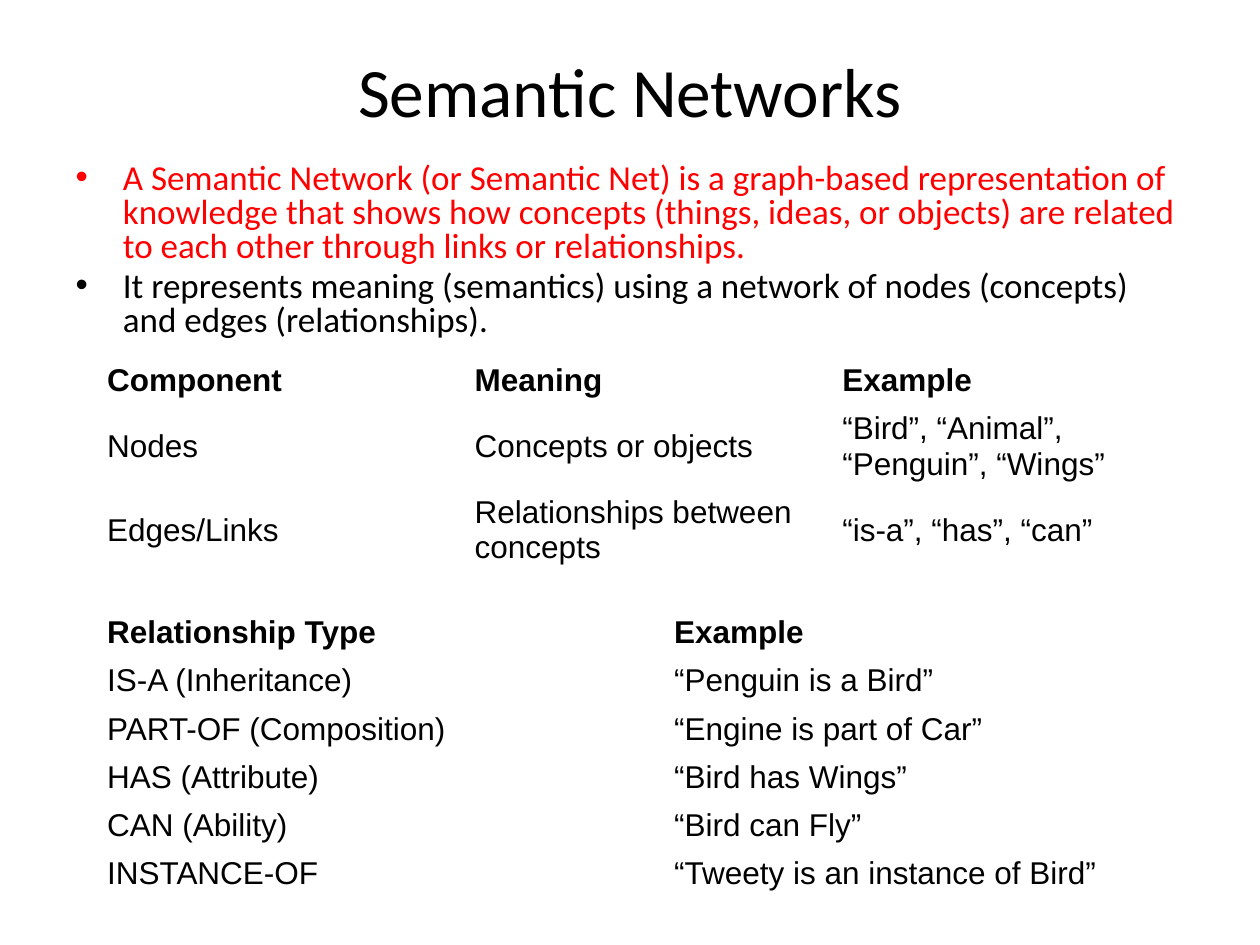
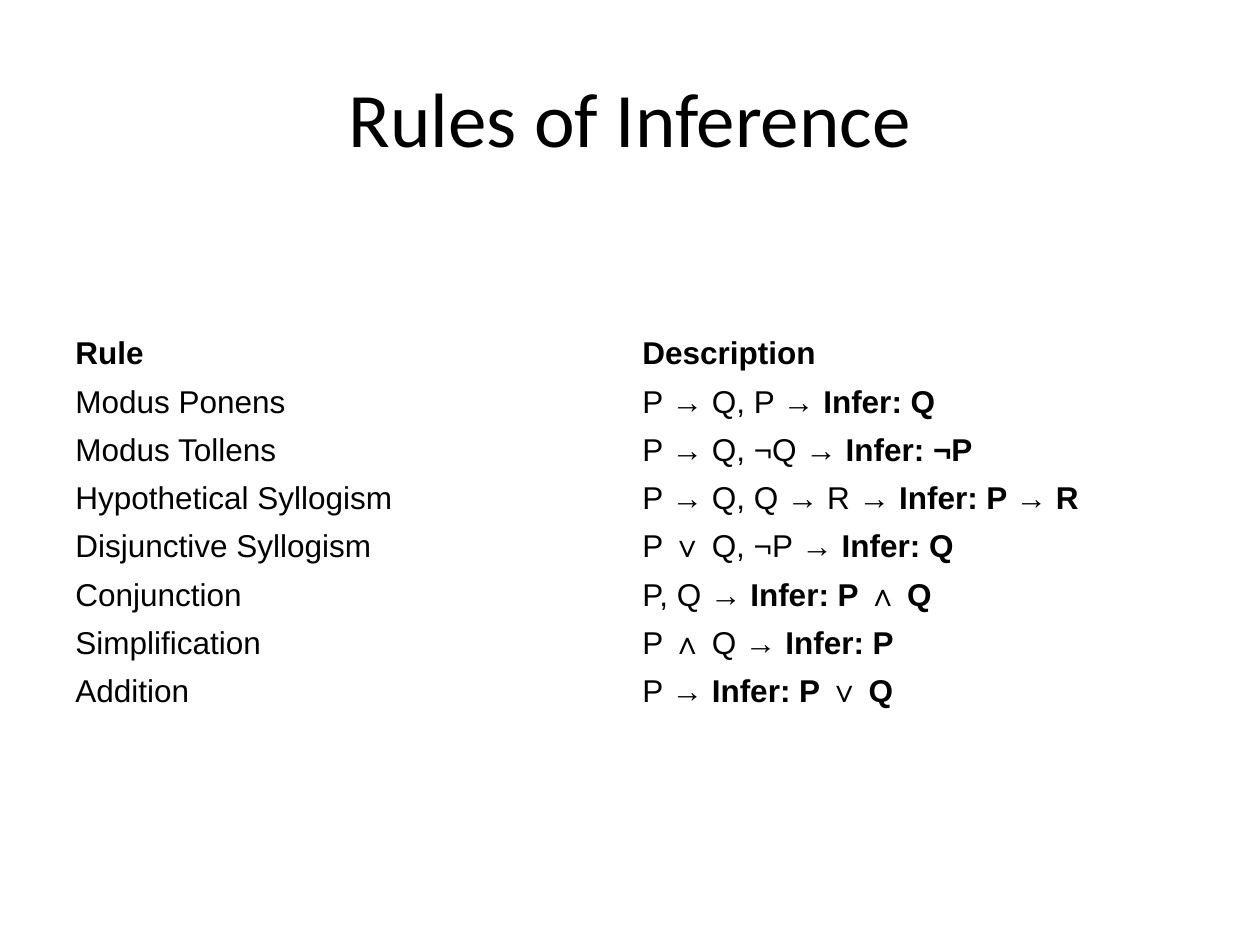
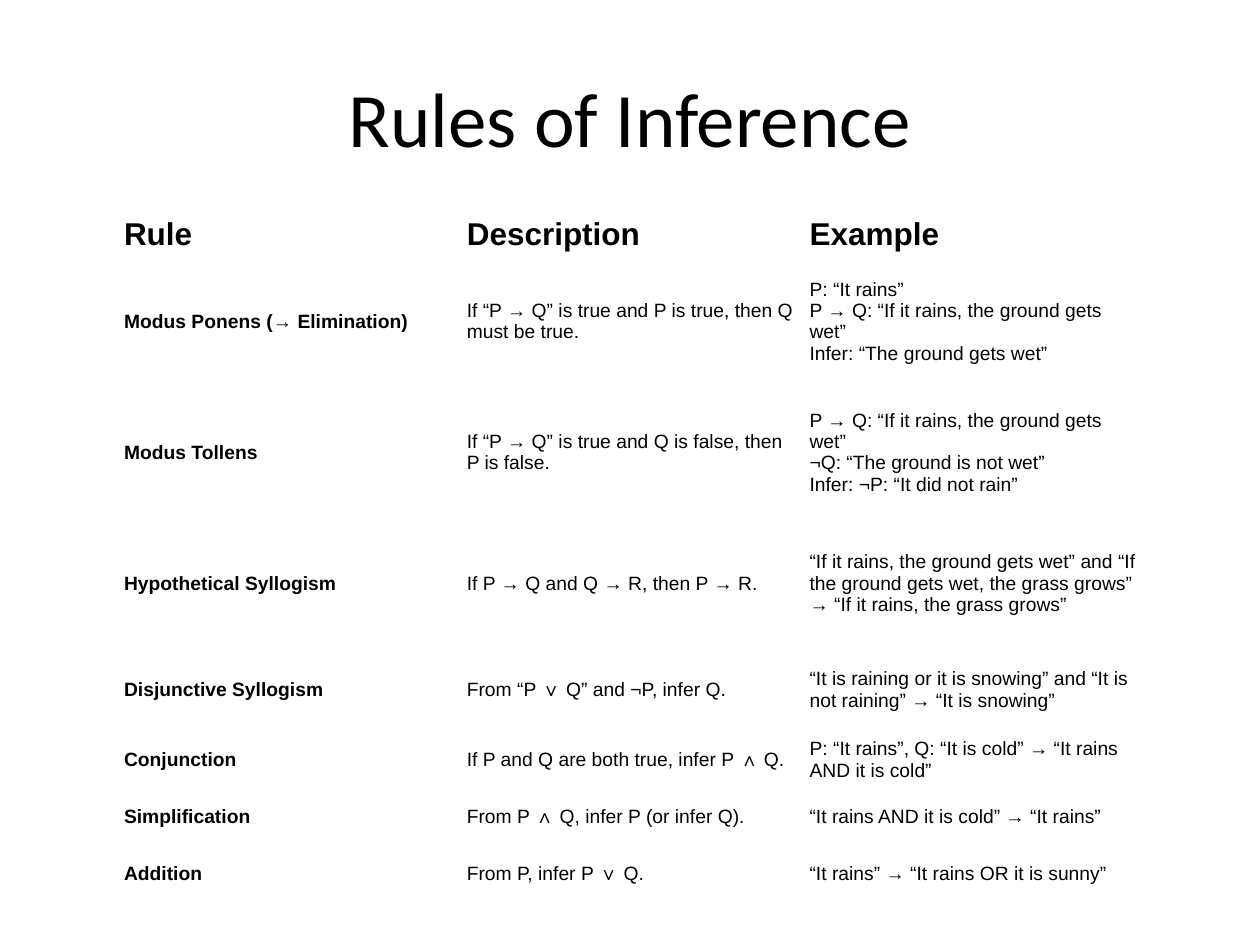
from lxml import etree
from pptx import Presentation
from pptx.dml.color import RGBColor
from pptx.enum.text import MSO_ANCHOR, MSO_AUTO_SIZE, PP_ALIGN
from pptx.oxml.ns import qn
from pptx.util import Cm, Pt

BLACK = RGBColor(0x00, 0x00, 0x00)
RED = RGBColor(0xFF, 0x00, 0x00)
MIDDLE = MSO_ANCHOR.MIDDLE
TOP = MSO_ANCHOR.TOP
NO_FIT = MSO_AUTO_SIZE.NONE
CENTER = PP_ALIGN.CENTER

TITLE_ONLY = 5
TITLE_AND_LIST = 1

# Cell margins in cm: horizontal, vertical
WIDE = (0.25, 0.13)
TIGHT = (0.16, 0.08)


class Deck:
    """Holds the shared style and the current slide."""

    heading_font = "Calibri"
    table_font = "Arial"

    def __init__(self):
        self.prs = Presentation()
        self.prs.slide_width, self.prs.slide_height = Cm(25.4), Cm(19.05)
        self.s = None

    def style(self, font, name, size, color=BLACK, bold=False):
        values = {"name": name, "size": Pt(size), "bold": bold}
        for key, value in values.items():
            setattr(font, key, value)
        font.color.rgb = color

    def place(self, sp, top, height, anchor):
        box = {"left": Cm(1.27), "top": Cm(top), "width": Cm(22.86), "height": Cm(height)}
        for key, value in box.items():
            setattr(sp, key, value)
        frame = {"auto_size": NO_FIT, "word_wrap": True, "vertical_anchor": anchor}
        for key, value in frame.items():
            setattr(sp.text_frame, key, value)
        return sp.text_frame

    def slide(self, title, layout=TITLE_ONLY, size=44, height=3.18):
        self.s = self.prs.slides.add_slide(self.prs.slide_layouts[layout])
        tf = self.place(self.s.shapes.title, 0.76, height, MIDDLE)
        p = tf.paragraphs[0]
        p.alignment = CENTER
        r = p.add_run()
        r.text = title
        self.style(r.font, self.heading_font, size)

    def bullets(self, items, top, height, size=20):
        tf = self.place(self.s.placeholders[1], top, height, TOP)
        for i, (text, color) in enumerate(items):
            p = tf.add_paragraph() if i else tf.paragraphs[0]
            bullet = etree.SubElement(p._p.get_or_add_pPr(), qn("a:buClr"))
            etree.SubElement(bullet, qn("a:srgbClr")).set("val", str(color))
            p.line_spacing = 0.8
            p.space_before = Pt(4 if i else 0)
            r = p.add_run()
            r.text = text
            self.style(r.font, self.heading_font, size, color)

    def cell(self, cell, content, size, bold, margins):
        cell.fill.background()
        cell.vertical_anchor = MIDDLE
        cell.margin_left = cell.margin_right = Cm(margins[0])
        cell.margin_top = cell.margin_bottom = Cm(margins[1])
        # A tuple is a plain part followed by a bold part
        parts = [(content, bold)] if isinstance(content, str) else zip(content, (False, True))
        p = cell.text_frame.paragraphs[0]
        for text, heavy in parts:
            for i, line in enumerate(text.split("\n")):
                if i:
                    p.add_line_break()
                r = p.add_run()
                r.text = line
                self.style(r.font, self.table_font, size, bold=heavy)

    def table(self, rows, left, top, col_width, heights,
              body_size=18, bold_first=False, margins=WIDE):
        cols = len(rows[0])
        table = self.s.shapes.add_table(len(rows), cols, Cm(left), Cm(top),
                                        Cm(col_width * cols), Cm(sum(heights))).table
        table.first_row = table.horz_banding = False
        for column in table.columns:
            column.width = Cm(col_width)
        for i, (row, height) in enumerate(zip(rows, heights)):
            table.rows[i].height = Cm(height)
            for j, content in enumerate(row):
                bold = i == 0 or (bold_first and j == 0)
                self.cell(table.cell(i, j), content, body_size if i else 18, bold, margins)


DEFINITION = [
    ("A Semantic Network (or Semantic Net) is a graph-based representation of knowledge "
     "that shows how concepts (things, ideas, or objects) are related to each other "
     "through links or relationships.", RED),
    ("It represents meaning (semantics) using a network of nodes (concepts) "
     "and edges (relationships).", BLACK),
]

RELATIONSHIPS = [
    ("Relationship Type", "Example"),
    ("IS-A (Inheritance)", "“Penguin is a Bird”"),
    ("PART-OF (Composition)", "“Engine is part of Car”"),
    ("HAS (Attribute)", "“Bird has Wings”"),
    ("CAN (Ability)", "“Bird can Fly”"),
    ("INSTANCE-OF", "“Tweety is an instance of Bird”"),
]

COMPONENTS = [
    ("Component", "Meaning", "Example"),
    ("Nodes", "Concepts or objects", "“Bird”, “Animal”, “Penguin”, “Wings”"),
    ("Edges/Links", "Relationships between concepts", "“is-a”, “has”, “can”"),
]

RULES = [
    ("Rule", "Description"),
    ("Modus Ponens", ("P → Q, P → ", "Infer: Q")),
    ("Modus Tollens", ("P → Q, ¬Q → ", "Infer: ¬P")),
    ("Hypothetical Syllogism", ("P → Q, Q → R → ", "Infer: P → R")),
    ("Disjunctive Syllogism", ("P ∨ Q, ¬P → ", "Infer: Q")),
    ("Conjunction", ("P, Q → ", "Infer: P ∧ Q")),
    ("Simplification", ("P ∧ Q → ", "Infer: P")),
    ("Addition", ("P → ", "Infer: P ∨ Q")),
]

RULE_EXAMPLES = [
    ("Rule", "Description", "Example"),
    ("Modus Ponens (→ Elimination)",
     "If “P → Q” is true and P is true, then Q must be true.",
     "P: “It rains”\nP → Q: “If it rains, the ground gets wet”\nInfer: “The ground gets wet”"),
    ("Modus Tollens",
     "If “P → Q” is true and Q is false, then P is false.",
     "P → Q: “If it rains, the ground gets wet”\n¬Q: “The ground is not wet”\n"
     "Infer: ¬P: “It did not rain”"),
    ("Hypothetical Syllogism",
     "If P → Q and Q → R, then P → R.",
     "“If it rains, the ground gets wet” and “If the ground gets wet, the grass grows” "
     "→ “If it rains, the grass grows”"),
    ("Disjunctive Syllogism",
     "From “P ∨ Q” and ¬P, infer Q.",
     "“It is raining or it is snowing” and “It is not raining” → “It is snowing”"),
    ("Conjunction",
     "If P and Q are both true, infer P ∧ Q.",
     "P: “It rains”, Q: “It is cold” → “It rains AND it is cold”"),
    ("Simplification",
     "From P ∧ Q, infer P (or infer Q).",
     "“It rains AND it is cold” → “It rains”"),
    ("Addition",
     "From P, infer P ∨ Q.",
     "“It rains” → “It rains OR it is sunny”"),
]


def main():
    deck = Deck()

    # Semantic networks: definition, relationships, components
    deck.slide("Semantic Networks", TITLE_AND_LIST, size=39.6, height=2.11)
    deck.bullets(DEFINITION, top=3.18, height=4.42)
    deck.table(RELATIONSHIPS, 1.91, 12.27, 11.43, [0.64] * len(RELATIONSHIPS))
    deck.table(COMPONENTS, 1.91, 7.19, 7.41, [0.84, 1.45, 1.45])

    # Rules in symbols
    deck.slide("Rules of Inference")
    deck.table(RULES, 1.27, 6.65, 11.43, [0.64] * len(RULES))

    # Rules with worked examples
    deck.slide("Rules of Inference")
    deck.table(RULE_EXAMPLES, 2.34, 4.29, 6.91,
               [0.66] + [2.64] * 3 + [1.65, 1.17, 1.14, 1.14],
               body_size=11, bold_first=True, margins=TIGHT)

    deck.prs.save("out.pptx")


if __name__ == "__main__":
    main()
